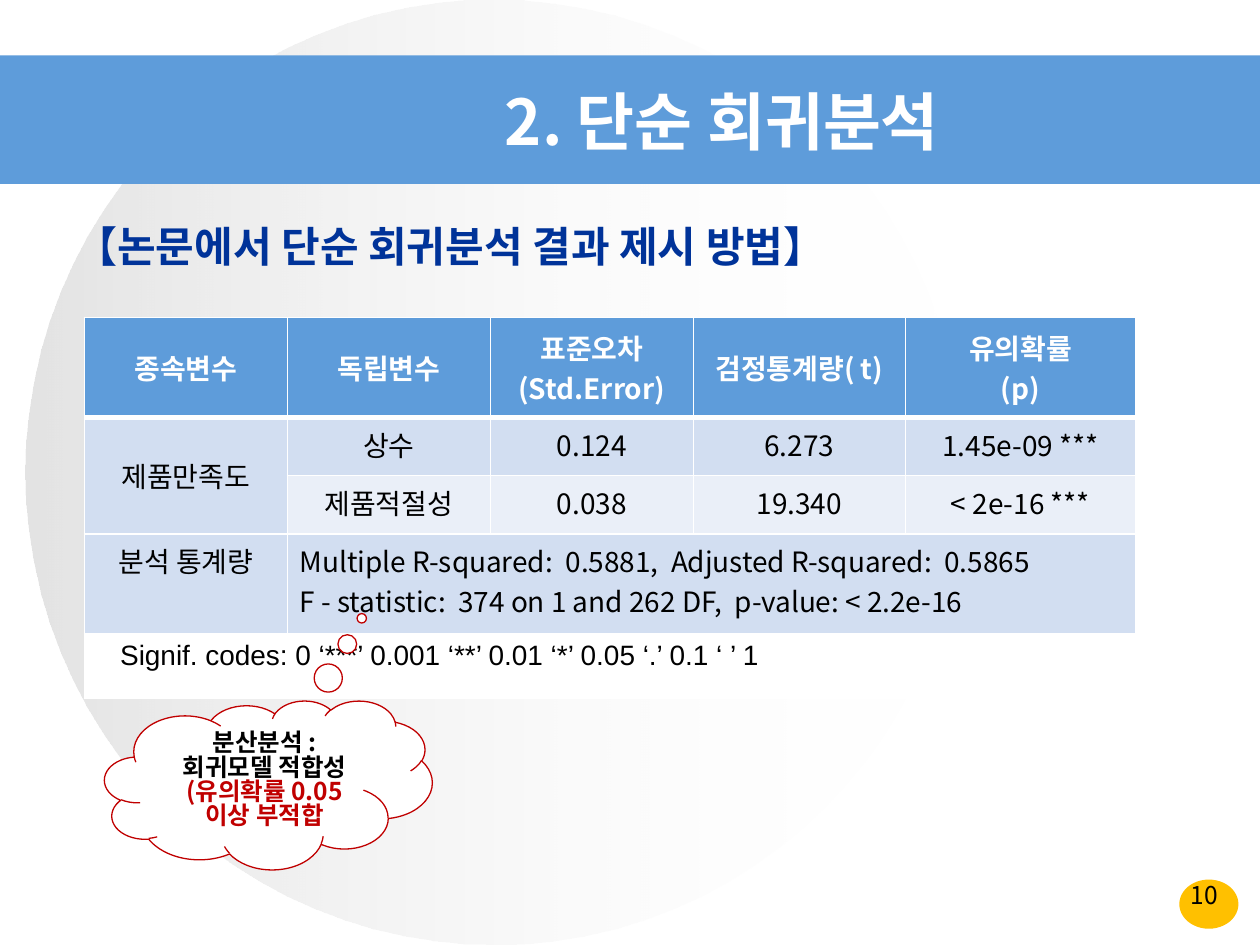
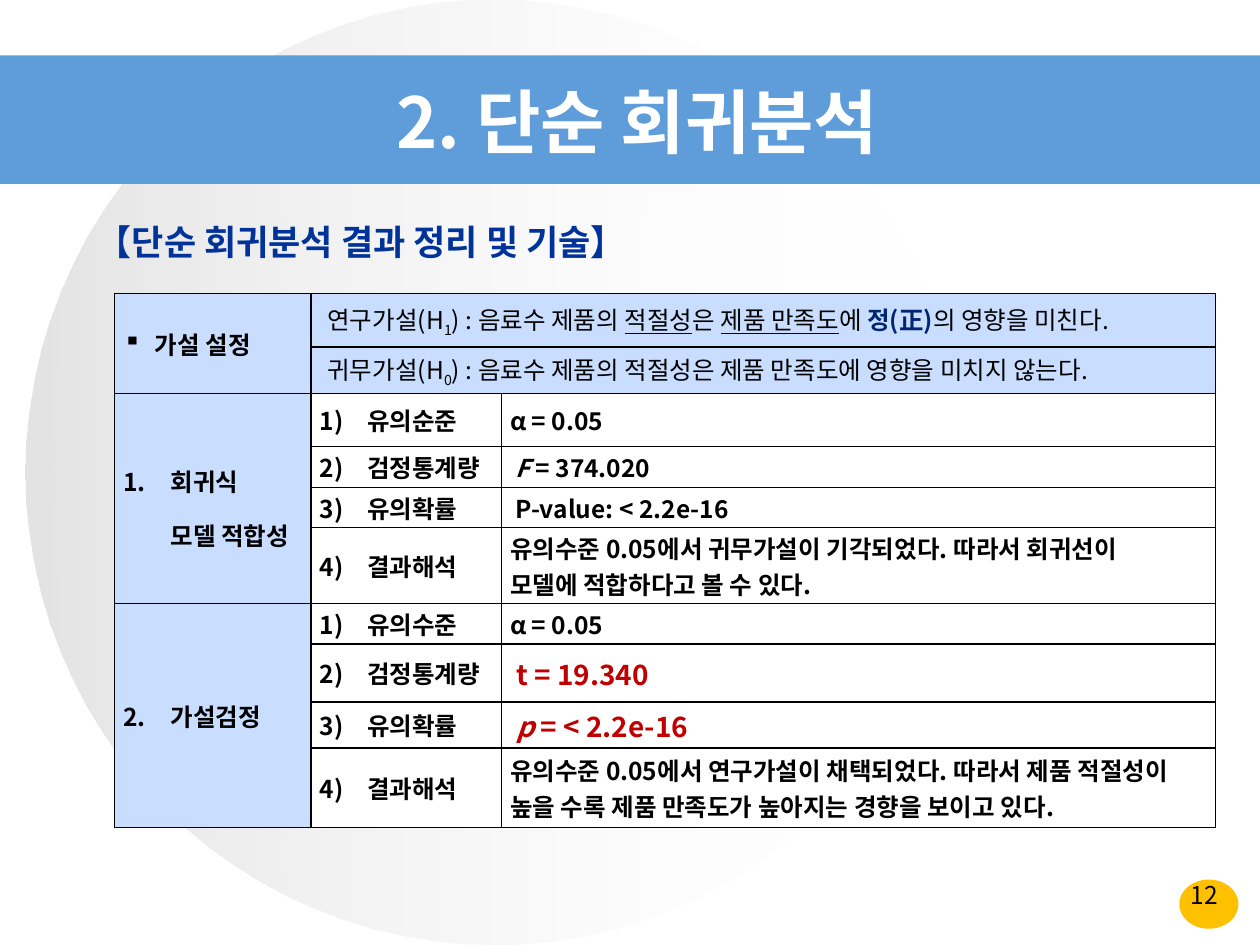
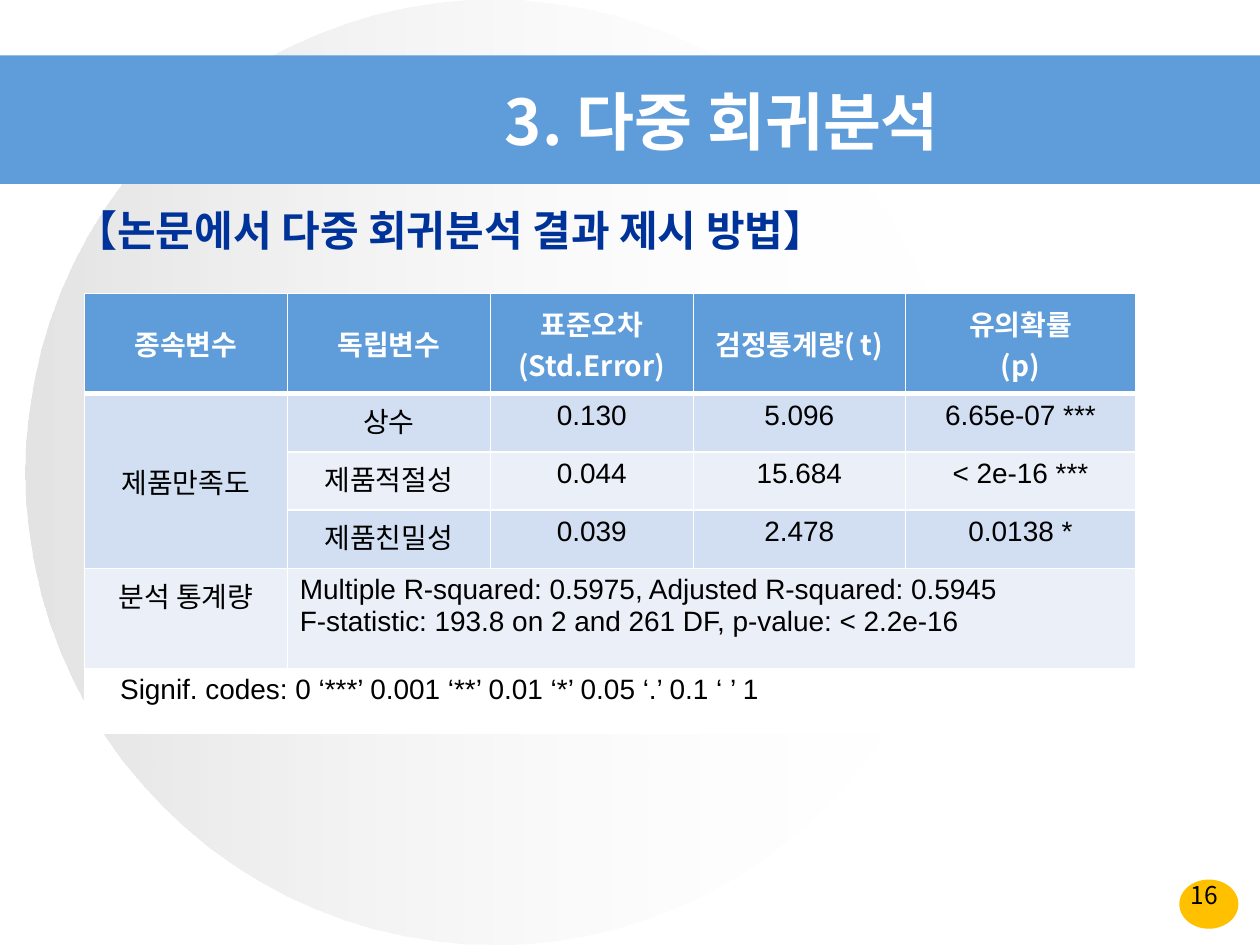
from lxml.etree import SubElement
from pptx import Presentation
from pptx.dml.color import RGBColor
from pptx.enum.shapes import MSO_SHAPE
from pptx.enum.text import MSO_ANCHOR, PP_ALIGN
from pptx.oxml.ns import qn
from pptx.util import Pt

COLORS = {
    "white": "FFFFFF", "black": "000000", "blue": "5E9CDA", "heading": "003399",
    "navy": "002673", "red": "C00000", "badge": "FFC000", "silver": "C0C0C0",
    "band_dark": "D2DEF1", "band_light": "EAEFF8", "label": "C9DDFF",
}
KOREAN = "Noto Sans CJK KR"
CENTER, LEFT, JUSTIFY = PP_ALIGN.CENTER, PP_ALIGN.LEFT, PP_ALIGN.JUSTIFY
TOP, MIDDLE = MSO_ANCHOR.TOP, MSO_ANCHOR.MIDDLE
SIGNIF_CODES = "Signif. codes: 0 ‘***’ 0.001 ‘**’ 0.01 ‘*’ 0.05 ‘.’ 0.1 ‘ ’ 1"
RESULT_HEADER = ["종속변수", "독립변수", ["표준오차", "(Std.Error)"],
                 "검정통계량( t)", ["유의확률", "(p)"]]


def rgb(name):
    return RGBColor.from_string(COLORS[name])


# Text
def format_run(run, size=14, color="black", bold=False, font=KOREAN,
               italic=False, underline=False, baseline=0):
    run.font.size = Pt(size)
    run.font.color.rgb = rgb(color)
    run.font.bold = bold
    run.font.italic = italic
    run.font.underline = underline
    run.font.name = font
    properties = run.font._element
    SubElement(properties, qn("a:ea"), typeface=font)
    if baseline:
        properties.set("baseline", str(baseline * 1000))


def write_text(frame, paragraphs, align=LEFT, anchor=TOP, margins=(7.2, 3.6, 7.2, 3.6),
               indent=0, hanging=0, bullet=None, start=1, spacing=None, **font):
    """Fill a frame; a paragraph is a string or a list of (text, overrides) runs."""
    frame.word_wrap = True
    frame.vertical_anchor = anchor
    (frame.margin_left, frame.margin_top,
     frame.margin_right, frame.margin_bottom) = map(Pt, margins)
    if isinstance(paragraphs, str):
        paragraphs = [paragraphs]
    for index, content in enumerate(paragraphs):
        paragraph = frame.add_paragraph() if index else frame.paragraphs[0]
        paragraph.alignment = align
        if spacing:
            paragraph.line_spacing = spacing
        properties = paragraph._p.get_or_add_pPr()
        properties.set("marL", str(Pt(indent)))
        properties.set("indent", str(-Pt(hanging)))
        if bullet in ("arabicPeriod", "arabicParenR"):
            SubElement(properties, qn("a:buAutoNum"), type=bullet, startAt=str(start))
        elif bullet:
            SubElement(properties, qn("a:buChar"), char=bullet)
        else:
            SubElement(properties, qn("a:buNone"))
        for text, overrides in [(content, {})] if isinstance(content, str) else content:
            for line_index, line in enumerate(text.split("\n")):
                if line_index:
                    paragraph.add_line_break()
                run = paragraph.add_run()
                run.text = line
                format_run(run, **{**font, **overrides})
        for line_break in paragraph._p.findall(qn("a:br")):
            SubElement(line_break, qn("a:rPr"), sz=str(font.get("size", 14) * 100))


def add_text(slide, box, text, **options):
    shape = slide.shapes.add_textbox(*map(Pt, box))
    write_text(shape.text_frame, text, **options)


# Shapes
def add_preset(slide, kind, box, fill, line=None):
    shape = slide.shapes.add_shape(kind, *map(Pt, box))
    shape.shadow.inherit = False
    shape.fill.solid()
    shape.fill.fore_color.rgb = rgb(fill)
    if line:
        shape.line.color.rgb = rgb(line)
        shape.line.width = Pt(0.75)
    else:
        shape.line.fill.background()
    return shape


def add_fading_circle(slide):
    circle = add_preset(slide, MSO_SHAPE.OVAL, (14.4, 0, 535.7, 540), "silver")
    circle.fill.gradient()
    circle.fill.gradient_angle = 0
    stops = zip(circle.fill.gradient_stops, ("silver", "white"), (0, 1), (44, 0))
    for stop, color, position, opacity in stops:
        stop.color.rgb = rgb(color)
        stop.position = position
        color_element = stop._gs.find(qn("a:srgbClr"))
        SubElement(color_element, qn("a:alpha"), val=str(opacity * 1000))


def add_cloud(slide):
    cloud = add_preset(slide, MSO_SHAPE.CLOUD_CALLOUT, (59.8, 400.3, 187.2, 96.5),
                       "white", line="red")
    cloud.adjustments[0], cloud.adjustments[1] = 0.285, -0.987
    write_text(cloud.text_frame,
               ["분산분석 :\n회귀모델 적합성",
                [("(유의확률 0.05\n이상 부적합", {"color": "red"})]],
               align=CENTER, anchor=MIDDLE, margins=(9, 3.6, 0, 3.6),
               spacing=0.83, bold=True)


# Tables
def set_borders(cell, color, bottom=1, top=1):
    properties = cell._tc.get_or_add_tcPr()
    sides = (("lnL", 1), ("lnR", 1), ("lnT", top), ("lnB", bottom))
    for index, (side, width) in enumerate(sides):
        line = properties.makeelement(qn(f"a:{side}"), {"w": str(Pt(width))})
        fill = SubElement(line, qn("a:solidFill"))
        SubElement(fill, qn("a:srgbClr"), val=COLORS[color])
        properties.insert(index, line)


def add_table(slide, left, top, widths, heights):
    frame = slide.shapes.add_table(len(heights), len(widths), Pt(left), Pt(top),
                                   Pt(sum(widths)), Pt(sum(heights)))
    table = frame.table
    for column, width in zip(table.columns, widths):
        column.width = Pt(width)
    for row, height in zip(table.rows, heights):
        row.height = Pt(height)
    return table


def fill_cell(cell, color):
    cell.fill.solid()
    cell.fill.fore_color.rgb = rgb(color)


def write_cell(cell, text, anchor=TOP, margins=(7.2, 3.6, 7.2, 3.6), **options):
    write_text(cell.text_frame, text, **options)
    cell.vertical_anchor = anchor
    (cell.margin_left, cell.margin_top,
     cell.margin_right, cell.margin_bottom) = map(Pt, margins)


def add_result_table(slide, top, variables, statistics, value_font):
    """Coefficient rows under a header, then the model statistics and the legend."""
    count = len(variables)
    table = add_table(slide, 48.2, top, (116, 116, 116, 121.2, 131.6),
                      [57.2] + [33.3] * count + [57.2, 37])
    last = count + 2
    for row in range(last + 1):
        if row == 0:
            color = "blue"
        elif row == last:
            color = "white"
        else:
            color = "band_dark" if row % 2 else "band_light"
        for column in range(5):
            cell = table.cell(row, column)
            fill_cell(cell, color)
            set_borders(cell, "white", bottom=1 if row else 3, top=3 if row == 1 else 1)
    table.cell(1, 0).merge(table.cell(count, 0))
    table.cell(last - 1, 1).merge(table.cell(last - 1, 4))
    table.cell(last, 0).merge(table.cell(last, 4))

    for column, text in enumerate(RESULT_HEADER):
        write_cell(table.cell(0, column), text, align=CENTER, anchor=MIDDLE,
                   size=16, color="white", bold=True)
    write_cell(table.cell(1, 0), "제품만족도", align=CENTER, anchor=MIDDLE, size=16)
    for row, values in enumerate(variables, 1):
        for column, text in enumerate(values, 1):
            write_cell(table.cell(row, column), text, align=CENTER, size=16,
                       font=KOREAN if column == 1 else value_font)
    write_cell(table.cell(last - 1, 0), "분석 통계량", align=CENTER, size=16)
    write_cell(table.cell(last - 1, 1), statistics, size=16, font=value_font)
    write_cell(table.cell(last, 0), SIGNIF_CODES, indent=13.3, size=16, font="Arial")


def add_hypothesis_table(slide):
    table = add_table(slide, 65.5, 167.8, (112.3, 108.7, 408.2),
                      (30.6, 26.6, 30.2, 23.3, 23, 43.4, 23.3, 33.1, 26.2, 45.4))
    for row in range(10):
        for column in range(3):
            cell = table.cell(row, column)
            fill_cell(cell, "label" if column == 0 or row < 2 else "white")
            set_borders(cell, "black")
    for first, final in ((0, 1), (2, 5), (6, 9)):
        table.cell(first, 0).merge(table.cell(final, 0))
    for row in (0, 1):
        table.cell(row, 1).merge(table.cell(row, 2))

    def write(row, column, text, bold=True, **options):
        write_cell(table.cell(row, column), text, anchor=MIDDLE,
                   margins=(5, 1.4, 5, 1.4), bold=bold, **options)

    # Section labels
    write(0, 0, "가설 설정", indent=18, hanging=18, bullet="▪")
    numbered = {"indent": 27, "hanging": 27}
    write(2, 0, "회귀식\n모델 적합성", bullet="arabicPeriod", spacing=1.5, **numbered)
    write(6, 0, "가설검정", bullet="arabicPeriod", start=2, **numbered)

    # Hypotheses
    underlined = {"underline": True}
    hypotheses = (
        [("연구가설(H", {}), ("1", {"baseline": -25}), (") : 음료수 제품의 ", {}),
         ("적절성", underlined), ("은 ", {}), ("제품 만족도", underlined), ("에 ", {}),
         ("정(正)", {"color": "navy", "bold": True}), ("의 영향을 미친다.", {})],
        [("귀무가설(H", {}), ("0", {"baseline": -25}),
         (") : 음료수 제품의 적절성은 제품 만족도에 영향을 미치지 않는다.", {})],
    )
    for row, runs in enumerate(hypotheses):
        write(row, 1, [runs], bold=False, align=JUSTIFY, indent=4.3)

    # Numbered steps and their values
    italic, large = {"italic": True}, {"size": 16, "color": "red"}
    steps = (
        ("유의순준", "α = 0.05", {}),
        ("검정통계량", [[(" ", {}), ("F ", italic), ("= 374.020", {})]], {}),
        ("유의확률", " P-value: < 2.2e-16", {}),
        ("결과해석", "유의수준 0.05에서 귀무가설이 기각되었다. 따라서 회귀선이 \n"
                 "모델에 적합하다고 볼 수 있다.", {}),
        ("유의수준", "α = 0.05", {}),
        ("검정통계량", " t = 19.340", large),
        ("유의확률", [[(" ", {}), ("p ", italic), ("= < 2.2e-16", {})]], large),
        ("결과해석", "유의수준 0.05에서 연구가설이 채택되었다. 따라서 제품 적절성이 "
                 "높을 수록 제품 만족도가 높아지는 경향을 보이고 있다.", {}),
    )
    for index, (label, value, style) in enumerate(steps):
        write(index + 2, 1, label, bullet="arabicParenR", start=index % 4 + 1, **numbered)
        write(index + 2, 2, value, **style)


# Slide frame
def add_slide(presentation, number, title, heading, title_left=105.1, title_size=36,
              heading_box=(36, 126, 648, 356.4), heading_size=24):
    slide = presentation.slides.add_slide(presentation.slide_layouts[6])
    add_preset(slide, MSO_SHAPE.OVAL, (673.9, 502.6, 33.8, 28.1), "badge")
    add_fading_circle(slide)
    add_preset(slide, MSO_SHAPE.RECTANGLE, (0, 31.7, 720, 73.4), "blue")
    add_text(slide, (title_left, 41.8, 720 - title_left, 54), title, align=CENTER,
             anchor=MIDDLE, size=title_size, color="white", bold=True)
    add_text(slide, (656.6, 502.6, 63.4, 20.9), str(number), align=CENTER,
             margins=(7.2, 0, 7.2, 0))
    add_text(slide, heading_box, heading, margins=(7.2, 0, 7.2, 0), indent=27, hanging=27,
             size=heading_size, color="heading", bold=True)
    return slide


def main():
    presentation = Presentation()
    presentation.slide_width, presentation.slide_height = Pt(720), Pt(540)

    # Simple regression: reporting
    slide = add_slide(presentation, 10, "2. 단순 회귀분석",
                      "【논문에서 단순 회귀분석 결과 제시 방법】")
    add_result_table(
        slide, 181.4,
        (("상수", "0.124", "6.273", "1.45e-09 ***"),
         ("제품적절성", "0.038", "19.340", "< 2e-16 ***")),
        ["Multiple R-squared:  0.5881,  Adjusted R-squared:  0.5865",
         "F - statistic:  374 on 1 and 262 DF,  p-value: < 2.2e-16"], KOREAN)
    add_cloud(slide)

    # Simple regression: summary of the tests
    slide = add_slide(presentation, 12, "2. 단순 회귀분석",
                      "【단순 회귀분석 결과 정리 및 기술】", title_left=8.6, title_size=40,
                      heading_box=(48.2, 126, 613.4, 36), heading_size=20)
    add_hypothesis_table(slide)

    # Multiple regression: reporting
    slide = add_slide(presentation, 16, "3. 다중 회귀분석",
                      "【논문에서 다중 회귀분석 결과 제시 방법】",
                      heading_box=(36, 116.6, 648, 356.4))
    add_result_table(
        slide, 167.8,
        (("상수", "0.130", "5.096", "6.65e-07 ***"),
         ("제품적절성", "0.044", "15.684", "< 2e-16 ***"),
         ("제품친밀성", "0.039", "2.478", "0.0138 *")),
        ["Multiple R-squared: 0.5975, Adjusted R-squared: 0.5945",
         "F-statistic: 193.8 on 2 and 261 DF, p-value: < 2.2e-16"], "Arial")

    presentation.save("out.pptx")


if __name__ == "__main__":
    main()
